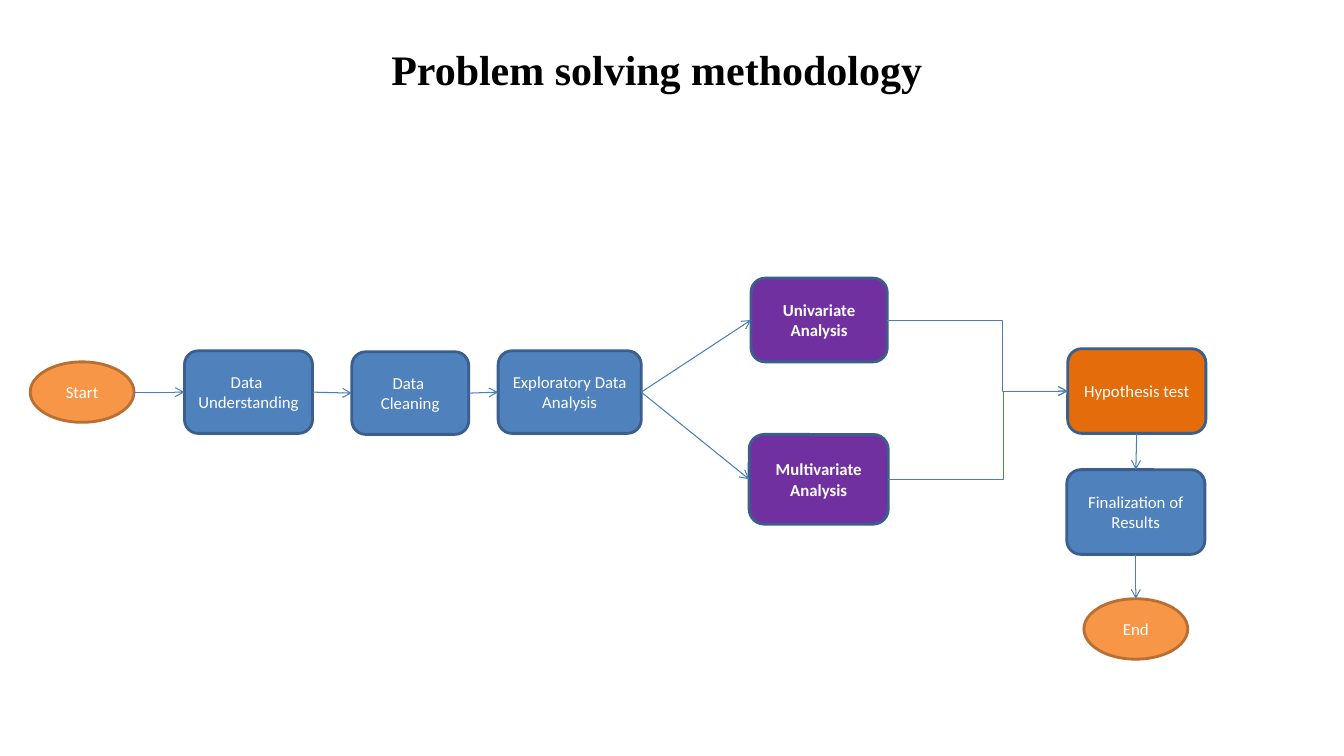
"""Build the problem solving methodology flow chart slide."""
import pptx
import pptx.dml.color
import pptx.enum.shapes
import pptx.enum.text
import pptx.oxml
import pptx.oxml.ns
import pptx.util
from lxml import etree

WIDE = pptx.util.Inches(13.33)
HIGH = pptx.util.Inches(7.5)
BLUE, PURPLE, ORANGE, AMBER = "4F81BD", "7030A0", "E46C0A", "F79646"
NAVY, BROWN, STEEL = "3A5F8C", "B76F34", "4A7EBB"
OVAL = pptx.enum.shapes.MSO_SHAPE.OVAL
ROUND = pptx.enum.shapes.MSO_SHAPE.ROUNDED_RECTANGLE
SIDES = {"top": (0.5, 0, 0), "left": (0, 0.5, 1), "bottom": (0.5, 1, 2), "right": (1, 0.5, 3)}

STEPS = {
    "start": ("Start", OVAL, AMBER, 6.11, 51.87, 7.73, 8),
    "grasp": ("Data \nUnderstanding", ROUND, BLUE, 18.49, 51.87, 9.53, 10.93),
    "clean": ("Data \nCleaning", ROUND, BLUE, 30.53, 52, 8.7, 10.93),
    "explore": ("Exploratory Data\nAnalysis", ROUND, BLUE, 42.39, 51.87, 10.65, 10.93),
    "single": ("Univariate Analysis", ROUND, PURPLE, 60.95, 42.33, 10.13, 11.07),
    "multi": ("Multivariate Analysis", ROUND, PURPLE, 60.92, 63.4, 10.35, 11.87),
    "test": ("Hypothesis test", ROUND, ORANGE, 84.58, 51.73, 10.28, 11.2),
    "final": ("Finalization of Results", ROUND, BLUE, 84.51, 67.73, 10.28, 11.2),
    "end": ("End", OVAL, AMBER, 84.51, 83.2, 7.73, 8),
}

LINKS = [
    ("start", "grasp", "right", "left", None),
    ("grasp", "clean", "right", "left", None),
    ("clean", "explore", "right", "left", None),
    ("explore", "single", "right", "left", None),
    ("explore", "multi", "right", "left", None),
    ("single", "test", "right", "left", 0.64),
    ("multi", "test", "right", "left", 0.64),
    ("test", "final", "bottom", "top", None),
    ("final", "end", "bottom", "top", None),
]


def paint(form, color):
    """Give a fill, line or font colour format a hex colour."""
    form.rgb = pptx.dml.color.RGBColor.from_string(color)


def place(left, top, wide, high):
    """Turn percent shares of the slide into lengths."""
    return [round(share * full / 100) for share, full in
            ((left, WIDE), (top, HIGH), (wide, WIDE), (high, HIGH))]


def write(shape, text, size=12, font="Calibri", color="FFFFFF", bold=False, inset=0.1):
    """Fill a shape with centred text in one format."""
    frame = shape.text_frame
    frame.text = text
    frame.word_wrap = True
    frame.margin_left = frame.margin_right = pptx.util.Inches(inset)
    frame.vertical_anchor = pptx.enum.text.MSO_ANCHOR.MIDDLE
    for para in frame.paragraphs:
        para.alignment = pptx.enum.text.PP_ALIGN.CENTER
        for run in para.runs:
            run.font.size = pptx.util.Pt(size)
            run.font.name = font
            run.font.bold = bold
            paint(run.font.color, color)


def step(slide, text, kind, fill, mid, row, wide, high):
    """Add one flow chart step around its centre."""
    spot = place(mid - wide / 2, row - high / 2, wide, high)
    shape = slide.shapes.add_shape(kind, *spot)
    shape.shadow.inherit = False
    shape.fill.solid()
    paint(shape.fill.fore_color, fill)
    paint(shape.line.color, BROWN if kind == OVAL else NAVY)
    shape.line.width = pptx.util.Pt(2)
    write(shape, text, bold=fill == PURPLE, inset=0.07)
    return shape


def port(shape, side):
    """Find the point and site number at the middle of a side."""
    across, down, site = SIDES[side]
    if shape.auto_shape_type == OVAL:
        site *= 2
    return (round(shape.left + across * shape.width),
            round(shape.top + down * shape.height), site)


def link(slide, source, target, leave, enter, bend):
    """Join two steps by an arrow, bent at a share of its width if given."""
    kinds = pptx.enum.shapes.MSO_CONNECTOR
    first, last = port(source, leave), port(target, enter)
    arrow = slide.shapes.add_connector(
        kinds.ELBOW if bend else kinds.STRAIGHT, *first[:2], *last[:2])
    paint(arrow.line.color, STEEL)
    arrow.line.width = pptx.util.Pt(0.75)
    name = pptx.oxml.ns.qn
    root = arrow.element
    glue = root.find(".//" + name("p:cNvCxnSpPr"))
    for tag, shape, site in (("a:stCxn", source, first[2]), ("a:endCxn", target, last[2])):
        etree.SubElement(glue, name(tag), id=str(shape.shape_id), idx=str(site))
    etree.SubElement(root.find(".//" + name("a:ln")), name("a:tailEnd"), type="arrow")
    etree.SubElement(root.spPr, name("a:effectLst"))
    if bend:
        guides = root.find(".//" + name("a:avLst"))
        etree.SubElement(guides, name("a:gd"), name="adj1", fmla=f"val {round(bend * 100000)}")


def main():
    """Build and save the slide."""
    deck = pptx.Presentation()
    deck.slide_width, deck.slide_height = WIDE, HIGH
    slide = deck.slides.add_slide(deck.slide_layouts[5])
    title = slide.shapes.title
    title.left, title.top, title.width, title.height = place(17.55, 2.93, 61.89, 12.4)
    write(title, " Problem solving methodology", size=30,
          font="Times New Roman", color="000000", bold=True)
    steps = {key: step(slide, *row) for key, row in STEPS.items()}
    for source, target, *rest in LINKS:
        link(slide, steps[source], steps[target], *rest)
    deck.save("out.pptx")


if __name__ == "__main__":
    main()
